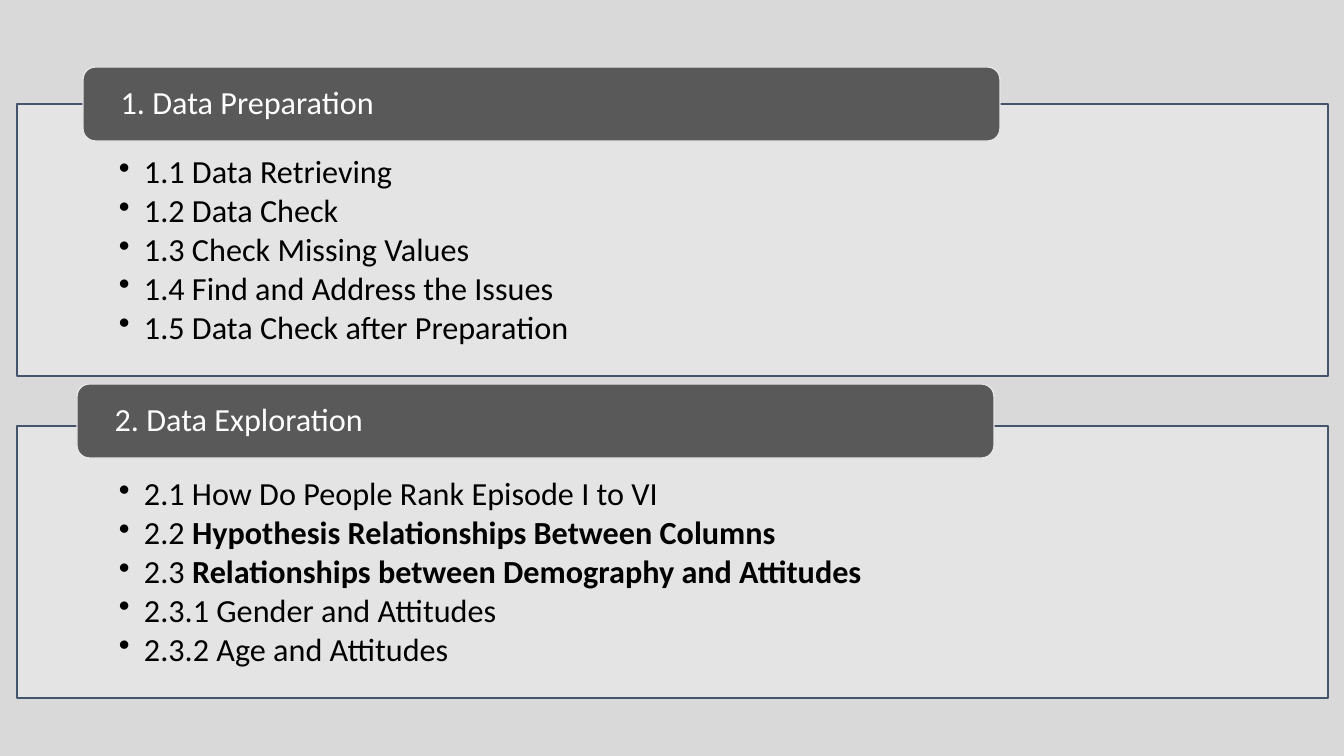
from dataclasses import dataclass

import pptx
import pptx.dml.color
import pptx.enum.shapes
import pptx.enum.text
import pptx.oxml
import pptx.oxml.ns
import pptx.util
from lxml import etree

PX = 914400 / 100.8  # EMU in one px
SHAPES = pptx.enum.shapes.MSO_SHAPE
ANCHOR = pptx.enum.text.MSO_ANCHOR


@dataclass(frozen=True)
class Theme:
    background: str = "D9D9D9"
    panel: str = "E7E6E6"
    panel_alpha: int = 90
    panel_line: str = "44546A"
    header: str = "595959"
    header_line: str = "E7E6E6"
    header_text: str = "FFFFFF"
    item_text: str = "000000"
    font: str = "Calibri"
    text_size: int = 23
    line_width: int = 1


def emu(px):
    return pptx.util.Emu(round(px * PX))


def rgb(code):
    return pptx.dml.color.RGBColor.from_string(code)


class Outline:
    def __init__(self, slide, theme):
        self.slide = slide
        self.theme = theme
        slide.background.fill.solid()
        slide.background.fill.fore_color.rgb = rgb(theme.background)

    def box(self, kind, bounds, fill, line, insets, anchor):
        shape = self.slide.shapes.add_shape(kind, *map(emu, bounds))
        shape.shadow.inherit = False
        shape.fill.solid()
        shape.fill.fore_color.rgb = rgb(fill)
        shape.line.color.rgb = rgb(line)
        shape.line.width = pptx.util.Pt(self.theme.line_width)
        frame = shape.text_frame
        frame.word_wrap = True
        frame.vertical_anchor = anchor
        (frame.margin_left, frame.margin_top,
         frame.margin_right, frame.margin_bottom) = map(emu, insets)
        return shape

    def style(self, paragraph, color):
        paragraph.alignment = pptx.enum.text.PP_ALIGN.LEFT
        paragraph.line_spacing = 0.9
        for run in paragraph.runs:
            run.font.name = self.theme.font
            run.font.size = pptx.util.Pt(self.theme.text_size)
            run.font.color.rgb = rgb(color)

    def bullet(self, paragraph):
        paragraph.level = 1
        paragraph.space_after = pptx.util.Pt(3)
        properties = paragraph._p.get_or_add_pPr()
        properties.set("marL", str(emu(25)))
        properties.set("indent", str(-emu(25)))
        mark = etree.SubElement(properties, pptx.oxml.ns.qn("a:buChar"))
        mark.set("char", "•")

    def panel(self, bounds, items):
        theme = self.theme
        panel = self.box(SHAPES.RECTANGLE, bounds, theme.panel,
                         theme.panel_line, (102, 52, 102, 18), ANCHOR.TOP)
        # Slight transparency of the panel
        color = panel.fill._xPr.find(".//" + pptx.oxml.ns.qn("a:srgbClr"))
        alpha = etree.SubElement(color, pptx.oxml.ns.qn("a:alpha"))
        alpha.set("val", str(theme.panel_alpha * 1000))

        frame = panel.text_frame
        frame.text = "\n".join(number + " " for number, _, _ in items)
        for paragraph, (_, topic, bold) in zip(frame.paragraphs, items):
            self.bullet(paragraph)
            topic_run = paragraph.add_run()
            topic_run.text = topic
            topic_run.font.bold = bold
            self.style(paragraph, theme.item_text)

    def header(self, bounds, heading):
        theme = self.theme
        header = self.box(SHAPES.ROUNDED_RECTANGLE, bounds, theme.header,
                          theme.header_line, (34, 0, 34, 0), ANCHOR.MIDDLE)
        header.text_frame.text = heading
        self.style(header.text_frame.paragraphs[0], theme.header_text)


# Heading, header left and top, panel top, items (number, topic, bold)
SECTIONS = [
    ("1. Data Preparation", 83, 67, 104, [
        ("1.1", "Data Retrieving", False),
        ("1.2", "Data Check", False),
        ("1.3", "Check Missing Values", False),
        ("1.4", "Find and Address the Issues", False),
        ("1.5", "Data Check after Preparation", False),
    ]),
    ("2. Data Exploration", 77, 384, 426, [
        ("2.1", "How Do People Rank Episode I to VI", False),
        ("2.2", "Hypothesis Relationships Between Columns", True),
        ("2.3", "Relationships between Demography and Attitudes", True),
        ("2.3.1", "Gender and Attitudes", False),
        ("2.3.2", "Age and Attitudes", False),
    ]),
]


def main():
    deck = pptx.Presentation()
    deck.slide_width, deck.slide_height = emu(1344), emu(756)
    blank = deck.slide_layouts[6]
    outline = Outline(deck.slides.add_slide(blank), Theme())

    # Each header overlaps the top edge of its panel
    for heading, header_left, header_top, panel_top, items in SECTIONS:
        outline.panel((17, panel_top, 1311, 272), items)
        outline.header((header_left, header_top, 917, 74), heading)

    deck.save("out.pptx")


if __name__ == "__main__":
    main()
